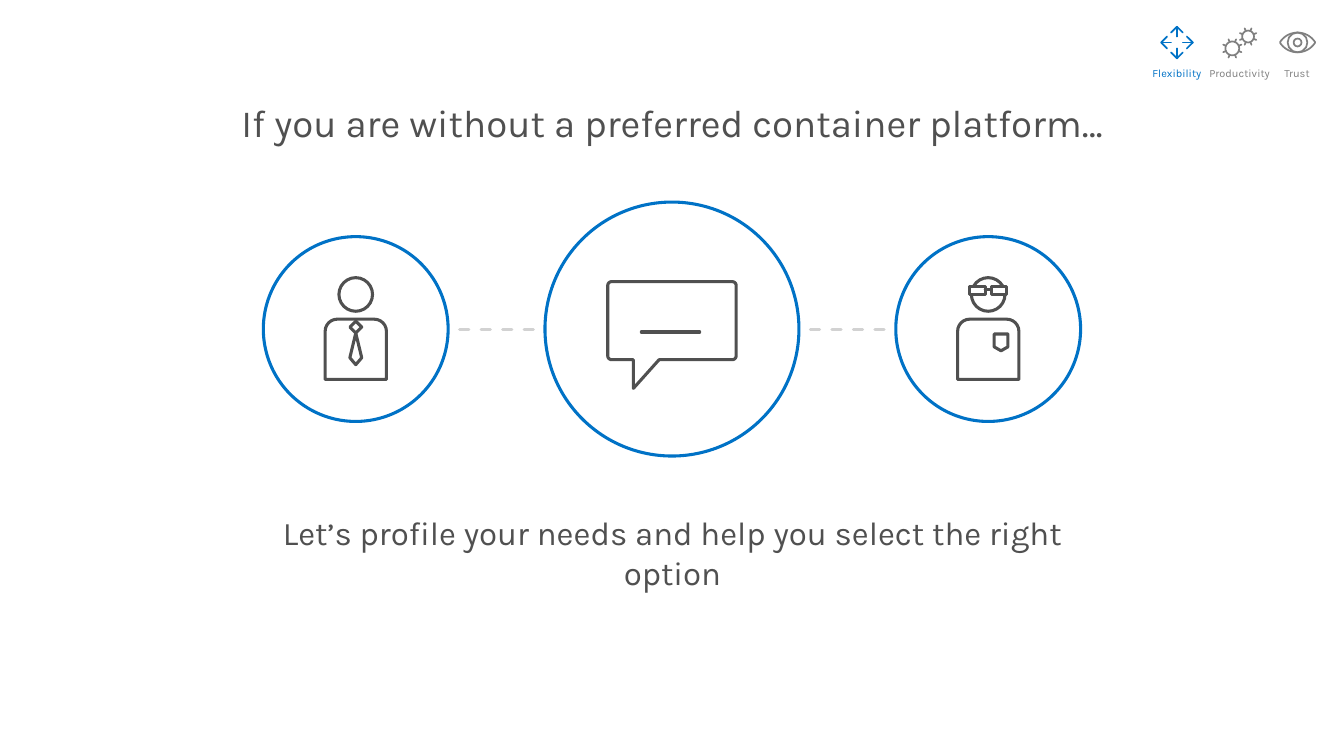
import math

import pptx
import pptx.dml.color
import pptx.enum.dml
import pptx.enum.shapes
import pptx.enum.text
import pptx.oxml.ns
import pptx.util
from lxml import etree

Inches = pptx.util.Inches
Pt = pptx.util.Pt
SHAPES = pptx.enum.shapes.MSO_SHAPE

COLOURS = {"accent": "0072C6", "text": "505050", "muted": "808080",
           "dash": "D2D2D2", "white": "FFFFFF"}
MIDDLE_Y = 3.33
CUSTOMER_X, CHAT_X, ADVISER_X = 3.6, 6.8, 10.0


def colour(name):
    return pptx.dml.color.RGBColor.from_string(COLOURS[name])


def set_values(target, values):
    for name, value in values.items():
        setattr(target, name, value)


def style_line(shape, line_colour, width):
    shape.line.color.rgb = colour(line_colour)
    shape.line.width = Pt(width)
    outline = shape._element.spPr.find(pptx.oxml.ns.qn("a:ln"))
    outline.set("cap", "rnd")
    etree.SubElement(outline, pptx.oxml.ns.qn("a:round"))


def add_outline(slide, kind, box, line_colour="text", width=2.25, fill=None):
    shape = slide.shapes.add_shape(kind, *[Inches(value) for value in box])
    shape.shadow.inherit = False
    if fill:
        shape.fill.solid()
        shape.fill.fore_color.rgb = colour(fill)
    else:
        shape.fill.background()
    style_line(shape, line_colour, width)
    return shape


def add_circle(slide, x, y, diameter, **style):
    box = (x - diameter / 2, y - diameter / 2, diameter, diameter)
    return add_outline(slide, SHAPES.OVAL, box, **style)


def add_line(slide, start, end, line_colour="text", dash=None):
    points = [Inches(value) for value in (*start, *end)]
    connector = slide.shapes.add_connector(
        pptx.enum.shapes.MSO_CONNECTOR.STRAIGHT, *points)
    connector.line.dash_style = dash
    style_line(connector, line_colour, 2.25)
    etree.SubElement(connector._element.spPr, pptx.oxml.ns.qn("a:effectLst"))


def add_drawing(slide, contours, line_colour="text", width=2.25):
    builder = None
    for contour in contours:
        points = [(Inches(x), Inches(y)) for x, y in contour]
        if builder is None:
            builder = slide.shapes.build_freeform(*points[0])
        else:
            builder.move_to(*points[0])
        builder.add_line_segments(points[1:], close=points[0] == points[-1])
    shape = builder.convert_to_shape()
    shape.shadow.inherit = False
    shape.fill.background()
    style_line(shape, line_colour, width)


def polar(x, y, radius, degrees):
    angle = math.radians(degrees)
    return x + radius * math.cos(angle), y + radius * math.sin(angle)


def arc(x, y, radius, start, end, steps=24):
    return [polar(x, y, radius, start + (end - start) * step / steps)
            for step in range(steps + 1)]


def add_text(shape, text, size, text_colour, frame_format, paragraph_format):
    frame = shape.text_frame
    set_values(frame, frame_format)
    paragraph = frame.paragraphs[0]
    paragraph.text = text
    set_values(paragraph, {"alignment": pptx.enum.text.PP_ALIGN.CENTER,
                           **paragraph_format})
    set_values(paragraph.font, {"name": "Karla", "size": Pt(size), "bold": False})
    paragraph.font.color.rgb = colour(text_colour)


def add_title(slide, text):
    title = slide.shapes.title
    set_values(title, {"left": Inches(1.79), "top": Inches(0.78),
                       "width": Inches(10.02), "height": Inches(0.82)})
    add_text(title, text, 28, "text",
             {"margin_left": Inches(0.16), "margin_right": Inches(0.16),
              "margin_top": Inches(0.1), "margin_bottom": Inches(0.1),
              "word_wrap": True,
              "auto_size": pptx.enum.text.MSO_AUTO_SIZE.NONE,
              "vertical_anchor": pptx.enum.text.MSO_ANCHOR.MIDDLE},
             {"line_spacing": 1.2, "space_before": Pt(0), "space_after": Pt(6)})


def add_message(slide, text):
    box = slide.shapes.add_textbox(Inches(2.64), Inches(5.14),
                                   Inches(8.33), Inches(0.91))
    add_text(box, text, 24, "text", {"word_wrap": True}, {})


def add_icon_label(slide, text, left, width, text_colour):
    box = slide.shapes.add_textbox(Inches(left), Inches(0.69),
                                   Inches(width), Inches(0.12))
    margins = {f"margin_{side}": 0 for side in ("left", "top", "right", "bottom")}
    add_text(box, text, 8, text_colour, {**margins, "word_wrap": False},
             {"line_spacing": 0.9, "space_after": Pt(6)})


def add_person(slide, x):
    add_circle(slide, x, MIDDLE_Y, 1.87, line_colour="accent", fill="white")
    add_circle(slide, x, 2.98, 0.34)
    body = add_outline(slide, SHAPES.ROUND_2_SAME_RECTANGLE,
                       (x - 0.31, 3.23, 0.62, 0.61))
    body.adjustments[0] = 0.2


def add_tie(slide, x):
    for top, widest, bottom in ((3.25, 3.31, 3.37), (3.37, 3.62, 3.69)):
        add_drawing(slide, [[(x, top), (x + 0.06, widest), (x, bottom),
                             (x - 0.06, widest), (x, top)]])


def add_glasses_and_badge(slide, x):
    for left in (x - 0.19, x + 0.03):
        add_outline(slide, SHAPES.RECTANGLE, (left, 2.9, 0.16, 0.08), fill="white")
    add_line(slide, (x - 0.03, 2.93), (x + 0.03, 2.93))
    left, middle, right = x + 0.06, x + 0.13, x + 0.2
    add_drawing(slide, [[(left, 3.38), (right, 3.38), (right, 3.51),
                         (middle, 3.55), (left, 3.51), (left, 3.38)]])


def add_chat(slide, x):
    add_circle(slide, x, MIDDLE_Y, 2.57, line_colour="accent", fill="white")
    tail = (x - 0.39, 3.64)
    bubble = [tail]
    corners = ((-0.61, 3.6), (-0.61, 2.89), (0.61, 2.89), (0.61, 3.6))
    for index, (offset, y) in enumerate(corners):
        start = 90 + 90 * index
        bubble += arc(x + offset, y, 0.04, start, start + 90, 6)
    bubble += [(x - 0.13, 3.64), (x - 0.39, 3.93), tail]
    add_drawing(slide, [bubble])
    add_line(slide, (x - 0.31, 3.36), (x + 0.28, 3.36))


def add_arrows_icon(slide, x, y):
    contours = []
    for cos, sin in ((1, 0), (0, 1), (-1, 0), (0, -1)):
        for stroke in ([(0.1, -0.06), (0.16, 0), (0.1, 0.06)],
                       [(0.06, 0), (0.16, 0)]):
            contours.append([(x + along * cos - across * sin,
                              y + along * sin + across * cos)
                             for along, across in stroke])
    add_drawing(slide, contours, "accent", 1.25)


def add_gear(slide, x, y, radius, tip_radius):
    teeth = [[polar(x, y, radius, 22.5 + 45 * tooth),
              polar(x, y, tip_radius, 22.5 + 45 * tooth)] for tooth in range(8)]
    add_drawing(slide, [arc(x, y, radius, 0, 360), *teeth], "muted", 1.25)


def add_eye_icon(slide, x, y):
    lids = arc(x, y + 0.11, 0.21, 213, 327) + arc(x, y - 0.11, 0.21, 33, 147)
    add_drawing(slide, [lids + lids[:1]], "muted", 1.25)
    for diameter in (0.2, 0.08):
        add_circle(slide, x, y, diameter, line_colour="muted", width=1.25)


def main():
    presentation = pptx.Presentation()
    presentation.slide_width = Inches(13.6)
    presentation.slide_height = Inches(7.65)
    slide = presentation.slides.add_slide(presentation.slide_layouts[5])

    add_title(slide, "If you are without a preferred container platform…")
    add_message(slide, "Let’s profile your needs and help you select the right option")

    add_chat(slide, CHAT_X)
    add_person(slide, CUSTOMER_X)
    add_tie(slide, CUSTOMER_X)
    add_person(slide, ADVISER_X)
    add_glasses_and_badge(slide, ADVISER_X)
    for left in (4.65, 8.2):
        add_line(slide, (left, MIDDLE_Y), (left + 0.75, MIDDLE_Y), "dash",
                 pptx.enum.dml.MSO_LINE.DASH)

    add_arrows_icon(slide, 11.91, 0.43)
    add_gear(slide, 12.63, 0.37, 0.06, 0.09)
    add_gear(slide, 12.47, 0.49, 0.07, 0.1)
    add_eye_icon(slide, 13.13, 0.43)
    add_icon_label(slide, "Flexibility", 11.63, 0.56, "accent")
    add_icon_label(slide, "Productivity", 12.23, 0.63, "muted")
    add_icon_label(slide, "Trust", 12.95, 0.35, "muted")

    presentation.save("out.pptx")


if __name__ == "__main__":
    main()
